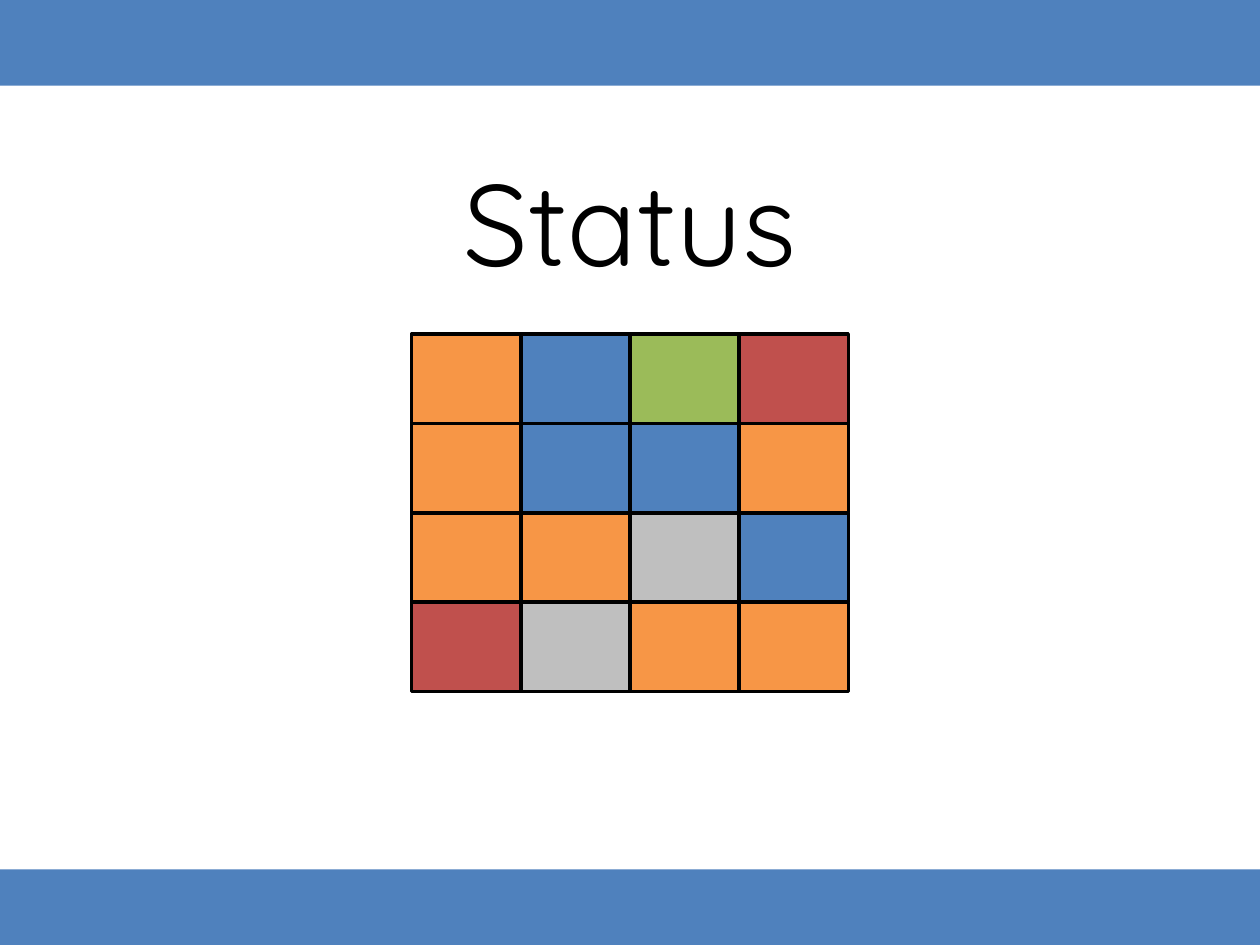
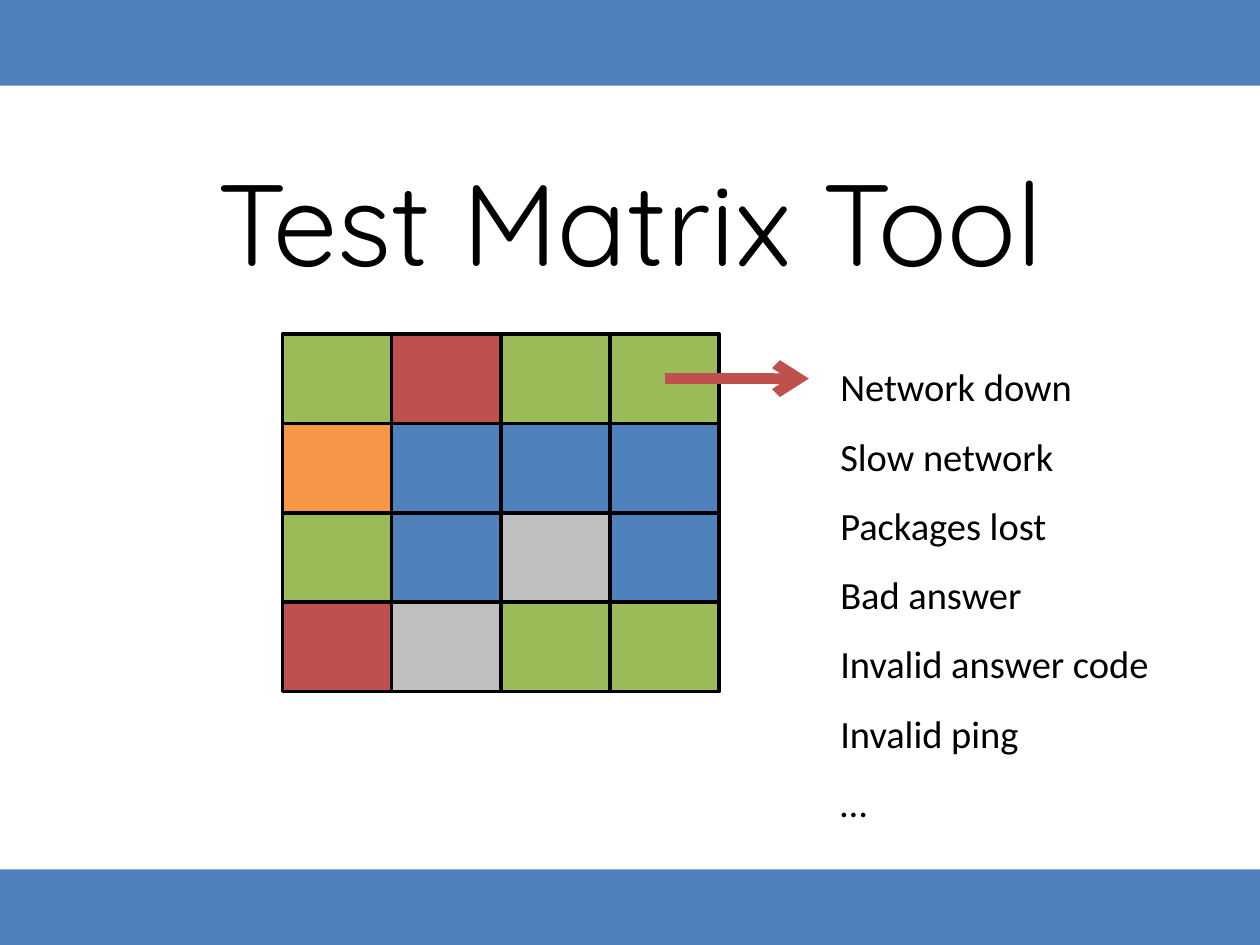
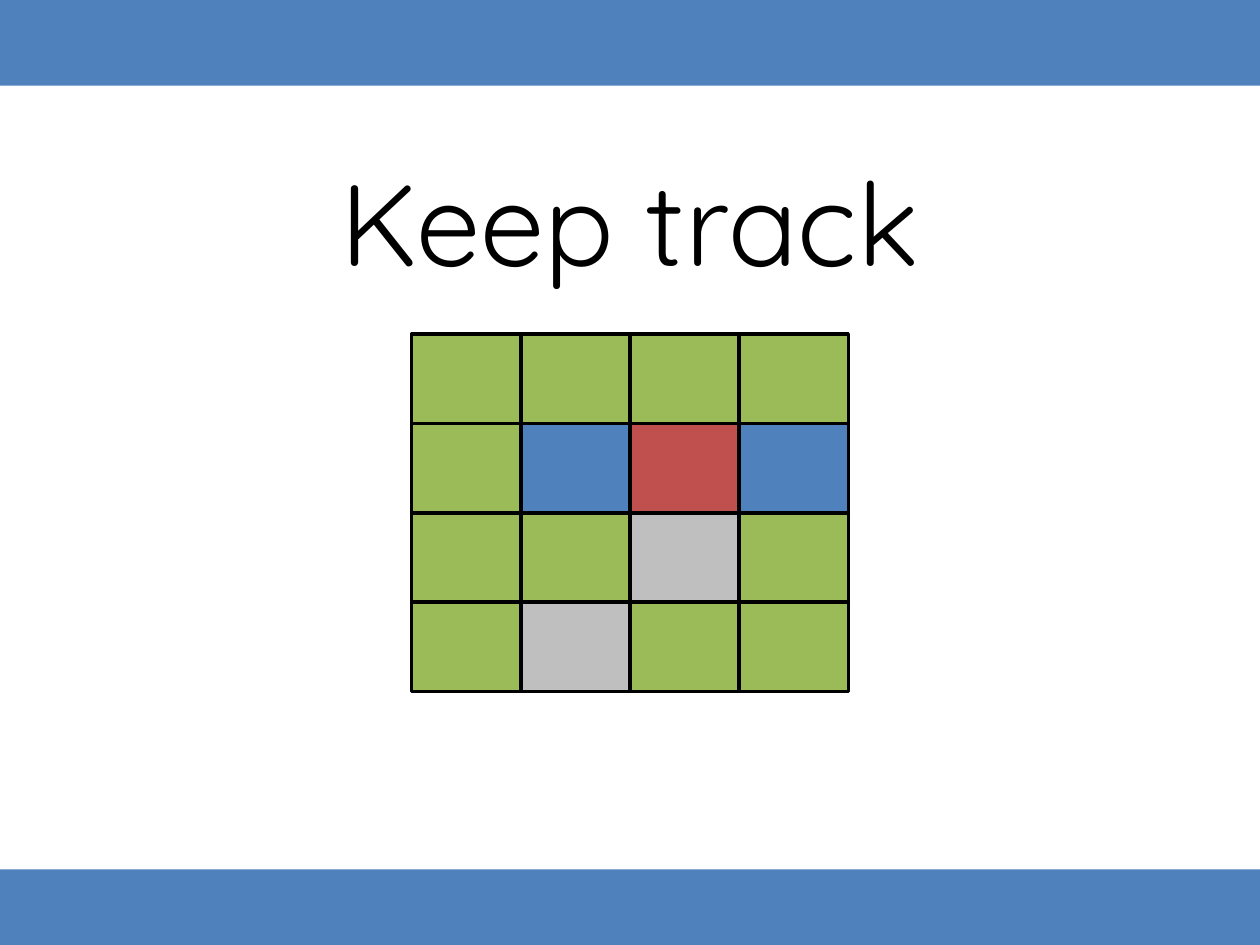
from lxml import etree
from pptx import Presentation
from pptx.dml.color import RGBColor
from pptx.enum.shapes import MSO_CONNECTOR, MSO_SHAPE
from pptx.enum.text import MSO_ANCHOR, MSO_AUTO_SIZE, PP_ALIGN
from pptx.oxml.ns import qn
from pptx.util import Pt

RECTANGLE = MSO_SHAPE.RECTANGLE
STRAIGHT = MSO_CONNECTOR.STRAIGHT
TOP = MSO_ANCHOR.TOP
GROW = MSO_AUTO_SIZE.SHAPE_TO_FIT_TEXT
CENTER, LEFT = PP_ALIGN.CENTER, PP_ALIGN.LEFT

SLIDE_WIDTH, SLIDE_HEIGHT = 720, 540
BLACK, BLUE, RED = "000000", "4F81BD", "C0504D"
STATUS_COLORS = {"O": "F79646", "B": BLUE, "G": "9BBB59", "R": RED, "N": "BFBFBF"}
TITLE_FONT, BODY_FONT = "Quicksand", "Calibri"
TITLE_BOX = (0, 82.8, SLIDE_WIDTH, 87.1)
BANDS = ((0, 49), (496.8, 43.2))
TITLE_ONLY, TITLE_AND_BODY = 5, 1

COLUMNS, ROWS = 4, 4
CELL_WIDTH, CELL_HEIGHT = 62.4, 51.12
MATRIX_TOP = 190.8
MATRIX_CENTERED = (SLIDE_WIDTH - COLUMNS * CELL_WIDTH) / 2
MATRIX_SHIFTED = 161.4

STATUS_MATRIX = ("OBGR", "OBBO", "OONB", "RNOO")
TOOL_MATRIX = ("GRGG", "OBBB", "GBNB", "RNGG")
TRACK_MATRIX = ("GGGG", "GBRB", "GGNG", "GNGG")
PROBLEMS = ("Network down", "Slow network", "Packages lost", "Bad answer",
            "Invalid answer code", "Invalid ping", "…")


def color(hex_string):
    """Return the colour for a hex string."""
    return RGBColor.from_string(hex_string)


def add_rectangle(slide, box, fill, line_width=0):
    """Draw a filled rectangle, with a black outline if a width is given."""
    shape = slide.shapes.add_shape(RECTANGLE, *(Pt(length) for length in box))
    shape.shadow.inherit = False
    shape.fill.solid()
    shape.fill.fore_color.rgb = color(fill)
    if line_width:
        shape.line.color.rgb = color(BLACK)
        shape.line.width = Pt(line_width)
    else:
        shape.line.fill.background()


def fill_placeholder(shape, box, lines, font, size, alignment, spacing):
    """Move a placeholder and write unbulleted paragraphs in it."""
    shape.left, shape.top, shape.width, shape.height = (Pt(length) for length in box)
    frame = shape.text_frame
    frame.word_wrap = True
    frame.auto_size = GROW
    frame.vertical_anchor = TOP
    for index, line in enumerate(lines):
        paragraph = frame.add_paragraph() if index else frame.paragraphs[0]
        paragraph.alignment = alignment
        paragraph.line_spacing = spacing
        paragraph.space_before = Pt(0)
        properties = paragraph._p.get_or_add_pPr()
        properties.set("marL", "0")
        properties.set("indent", "0")
        etree.SubElement(properties, qn("a:buNone"))
        run = paragraph.add_run()
        run.text = line
        run.font.name = font
        run.font.size = Pt(size)
        run.font.color.rgb = color(BLACK)


def add_matrix(slide, left, top, rows):
    """Draw the status matrix from rows of colour letters."""
    for row, letters in enumerate(rows):
        for column, letter in enumerate(letters):
            box = (left + column * CELL_WIDTH, top + row * CELL_HEIGHT,
                   CELL_WIDTH, CELL_HEIGHT)
            add_rectangle(slide, box, STATUS_COLORS[letter], 2)


def add_arrow(slide, left, top, length):
    """Draw a thick horizontal arrow pointing right."""
    arrow = slide.shapes.add_connector(
        STRAIGHT, Pt(left), Pt(top), Pt(left + length), Pt(top))
    arrow.line.color.rgb = color(RED)
    arrow.line.width = Pt(6)
    etree.SubElement(arrow.line._get_or_add_ln(), qn("a:tailEnd"), type="arrow")
    etree.SubElement(arrow._element.spPr, qn("a:effectLst"))


def add_matrix_slide(presentation, title, rows, left=MATRIX_CENTERED, layout=TITLE_ONLY):
    """Add a slide with bands, a title and a status matrix."""
    slide = presentation.slides.add_slide(presentation.slide_layouts[layout])
    for top, height in BANDS:
        add_rectangle(slide, (0, top, SLIDE_WIDTH, height), BLUE)
    fill_placeholder(slide.shapes.title, TITLE_BOX, [title], TITLE_FONT, 66, CENTER, 1.0)
    add_matrix(slide, left, MATRIX_TOP, rows)
    return slide


def add_tool_slide(presentation):
    """Add the matrix slide whose last top cell points to a list of problems."""
    slide = add_matrix_slide(presentation, "Test Matrix Tool", TOOL_MATRIX,
                             MATRIX_SHIFTED, TITLE_AND_BODY)
    add_arrow(slide, MATRIX_SHIFTED + (COLUMNS - 0.5) * CELL_WIDTH,
              MATRIX_TOP + CELL_HEIGHT / 2, 82.4)
    fill_placeholder(slide.placeholders[1], (473, MATRIX_TOP, 221, 287.3),
                     PROBLEMS, BODY_FONT, 22, LEFT, 1.5)


def main():
    """Build and save the presentation."""
    presentation = Presentation()
    presentation.slide_width = Pt(SLIDE_WIDTH)
    presentation.slide_height = Pt(SLIDE_HEIGHT)
    add_matrix_slide(presentation, "Status", STATUS_MATRIX)
    add_tool_slide(presentation)
    add_matrix_slide(presentation, "Keep track", TRACK_MATRIX)
    presentation.save("out.pptx")


if __name__ == "__main__":
    main()
